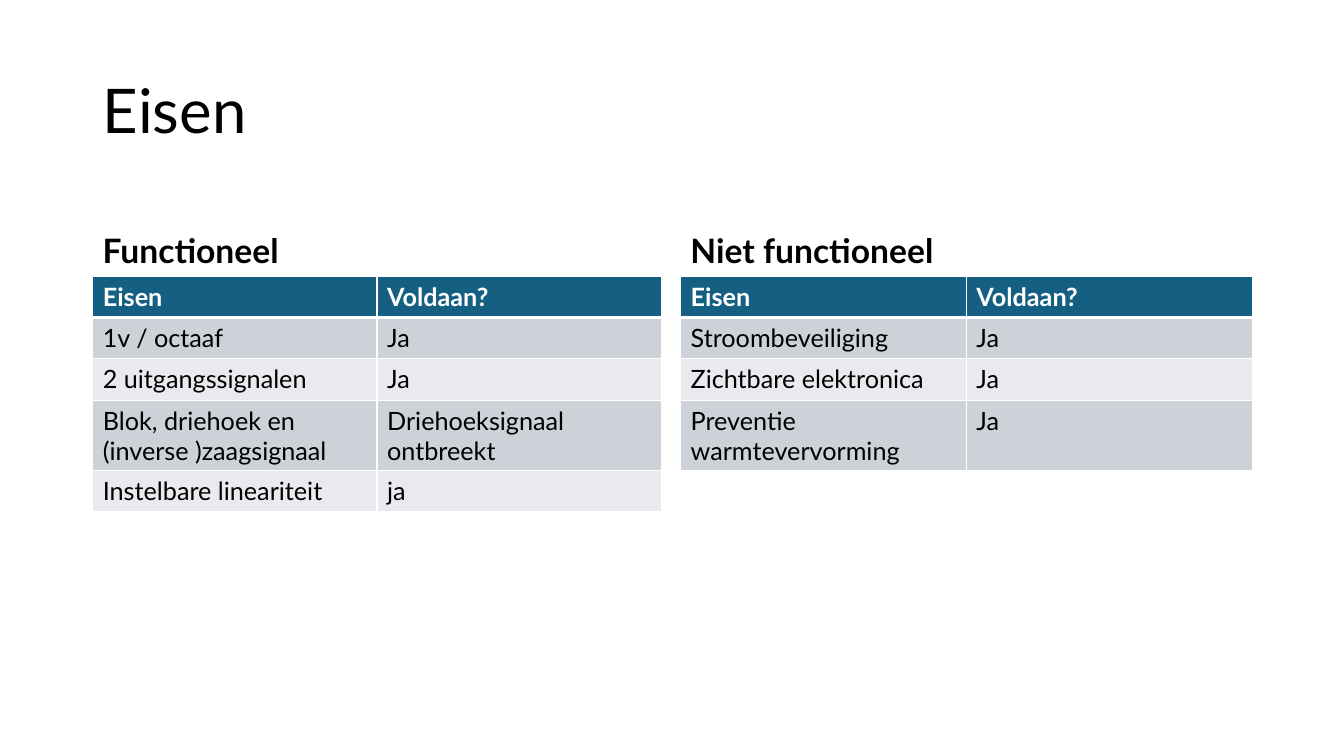
from lxml import etree
from pptx import Presentation
from pptx.dml.color import RGBColor
from pptx.enum import text
from pptx.oxml import ns
from pptx.util import Inches, Pt

FONT = "Lato"
COLORS = {
    "ink": "000000",
    "white": "FFFFFF",
    "header": "156082",
    "odd": "CCD2D8",
    "even": "E8EAED",
}
LEFT = 0.92
HEADING_TOP, HEADING_HEIGHT = 1.84, 0.9
ROW_HEIGHT = 0.41
HEADER = ("Eisen", "Voldaan?")
SECTIONS = [
    ("Functioneel", LEFT, 5.64, [
        ("1v / octaaf", "Ja"),
        ("2 uitgangssignalen", "Ja"),
        ("Blok, driehoek en (inverse )zaagsignaal", "Driehoeksignaal ontbreekt"),
        ("Instelbare lineariteit", "ja"),
    ]),
    ("Niet functioneel", 6.75, 5.67, [
        ("Stroombeveiliging", "Ja"),
        ("Zichtbare elektronica", "Ja"),
        ("Preventie warmtevervorming", "Ja"),
    ]),
]

deck = Presentation()
deck.slide_width, deck.slide_height = Inches(13.33), Inches(7.5)
page = deck.slides.add_slide(deck.slide_layouts[6])


def add_span(para, words, size, color="ink", bold=False):
    span = para.add_run()
    span.text = words
    span.font.name = FONT
    span.font.size = Pt(size)
    span.font.bold = bold
    span.font.color.rgb = RGBColor.from_string(COLORS[color])


def add_label(words, left, top, width, height, size, anchor, bold=False):
    box = page.shapes.add_textbox(Inches(left), Inches(top), Inches(width), Inches(height))
    box.text_frame.word_wrap = True
    box.text_frame.vertical_anchor = anchor
    para = box.text_frame.paragraphs[0]
    para.line_spacing = 0.9
    add_span(para, words, size, bold=bold)


add_label("Eisen", LEFT, 0.4, 11.5, 1.45, 44, text.MSO_ANCHOR.MIDDLE)

for heading, left, width, demands in SECTIONS:
    add_label(heading, left, HEADING_TOP, width, HEADING_HEIGHT, 24,
              text.MSO_ANCHOR.BOTTOM, bold=True)

    rows = [HEADER, *demands]
    frame = page.shapes.add_table(
        len(rows), len(HEADER), Inches(left), Inches(HEADING_TOP + HEADING_HEIGHT),
        Inches(width), Inches(ROW_HEIGHT * len(rows)))
    table = frame.table
    for row_index, row in enumerate(rows):
        is_header = row_index == 0
        fill = "header" if is_header else "odd" if row_index % 2 else "even"
        for column_index, words in enumerate(row):
            cell = table.cell(row_index, column_index)
            add_span(cell.text_frame.paragraphs[0], words, 18,
                     "white" if is_header else "ink", is_header)

            # The rule under the header is thicker than the others
            thick_side = {0: "lnB", 1: "lnT"}.get(row_index)
            properties = cell._tc.get_or_add_tcPr()
            for side in ("lnL", "lnR", "lnT", "lnB"):
                line = etree.SubElement(properties, ns.qn(f"a:{side}"))
                line.set("w", str(Pt(3 if side == thick_side else 1)))
                solid = etree.SubElement(line, ns.qn("a:solidFill"))
                etree.SubElement(solid, ns.qn("a:srgbClr")).set("val", COLORS["white"])

            cell.fill.solid()
            cell.fill.fore_color.rgb = RGBColor.from_string(COLORS[fill])

deck.save("out.pptx")
